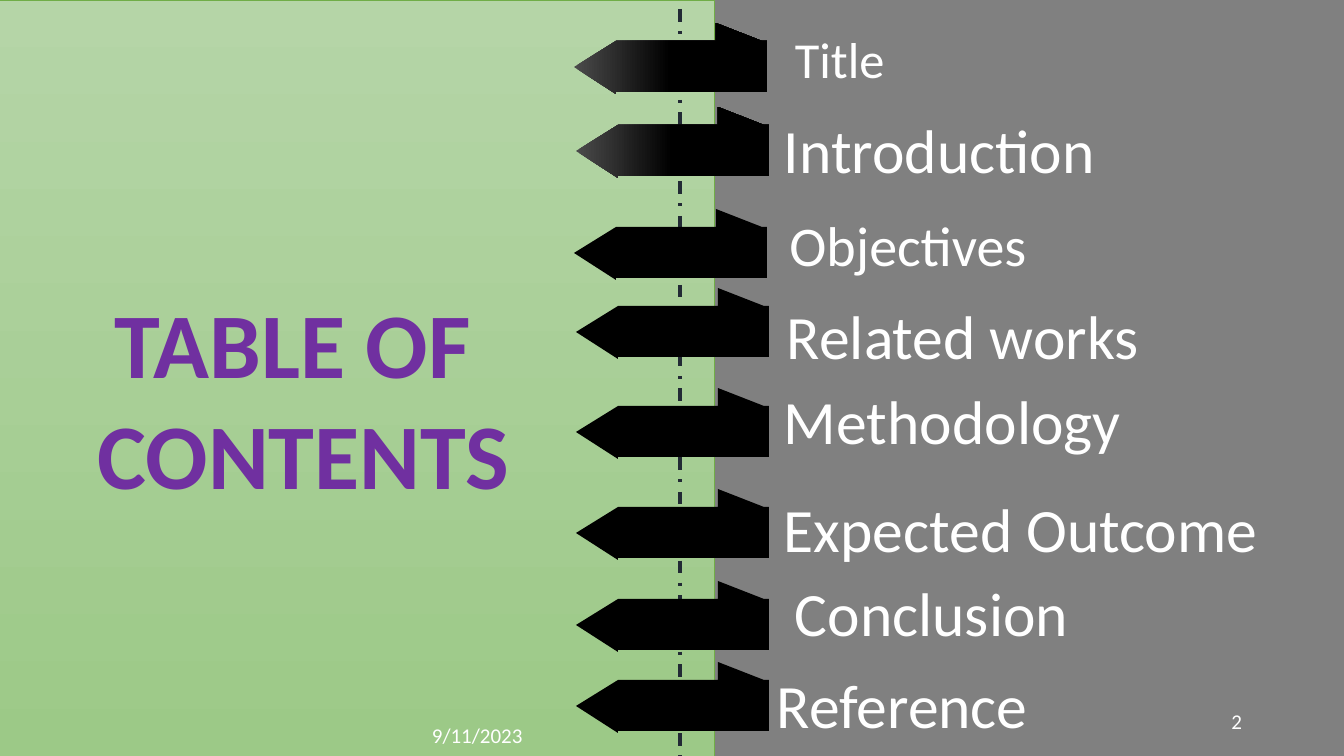
from lxml import etree
from pptx import Presentation
from pptx import util as u
from pptx.dml.color import RGBColor
from pptx.enum import dml, shapes, text
from pptx.oxml.ns import qn

PX = 914400 / 100.8
GRAY = RGBColor(0x80, 0x80, 0x80)
LIGHT = RGBColor(0xB5, 0xD5, 0xA7)
GREEN = RGBColor(0x9C, 0xC9, 0x87)
EDGE = RGBColor(0x70, 0xAD, 0x47)
NAVY = RGBColor(0x22, 0x2A, 0x35)
PURPLE = RGBColor(0x70, 0x30, 0xA0)
WHITE = RGBColor(0xFF, 0xFF, 0xFF)
BLACK = RGBColor(0, 0, 0)
SMOKE = RGBColor(0x4B, 0x4B, 0x4B)

AL = text.PP_ALIGN
MID = text.MSO_ANCHOR.MIDDLE

# Words, size, alignment, box
TOPICS = [
    ("Title", 36, AL.JUSTIFY, (785, 23, 202, 102)),
    ("Introduction", 44, AL.JUSTIFY, (774, 107, 369, 85)),
    ("Objectives", 40, AL.CENTER, (761, 206, 294, 78)),
    ("Related works", 44, AL.LEFT, (777, 293, 400, 85)),
    ("Methodology", 44, AL.LEFT, (774, 378, 403, 85)),
    ("Expected Outcome", 44, AL.LEFT, (774, 486, 499, 159)),
    ("Conclusion", 44, AL.JUSTIFY, (785, 570, 312, 159)),
    ("Reference", 44, AL.LEFT, (767, 662, 370, 115)),
]

# Left and top of each arrow, and the outline they share
ARROWS = [(574, 23), (576, 107), (574, 209), (576, 288),
          (576, 388), (576, 489), (576, 581), (576, 662)]
OUTLINE = [(142, 0), (188, 18), (193, 18), (193, 69), (42, 69),
           (42, 71), (0, 44), (42, 18), (142, 18)]


def emu(*vals):
    return [u.Emu(round(v * PX)) for v in vals]


def blend(fill, first, last, angle, end=1.0):
    fill.gradient()
    fill.gradient_angle = angle
    for stop, color, pos in zip(fill.gradient_stops, (first, last), (0, end)):
        stop.color.rgb = color
        stop.position = pos


def panel(slide, box):
    rect = slide.shapes.add_shape(shapes.MSO_SHAPE.RECTANGLE, *emu(*box))
    rect.shadow.inherit = False
    blend(rect.fill, LIGHT, GREEN, 270)
    rect.line.color.rgb = EDGE
    rect.line.width = u.Pt(0.5)


def seam(slide, x, top, end):
    line = slide.shapes.add_connector(
        shapes.MSO_CONNECTOR.STRAIGHT, *emu(x, top, x, end))
    line.line.color.rgb = NAVY
    line.line.width = u.Pt(2.25)
    line.line.dash_style = dml.MSO_LINE.DASH_DOT
    etree.SubElement(line._element.spPr, qn("a:effectLst"))


def label(slide, words, size, align, box, color=WHITE, bold=False,
          wrap=True, anchor=text.MSO_ANCHOR.TOP):
    frame = slide.shapes.add_textbox(*emu(*box)).text_frame
    frame.word_wrap = wrap
    frame.vertical_anchor = anchor
    frame.text = words
    for para in frame.paragraphs:
        para.alignment = align
        font = para.font
        font.name, font.size, font.bold = "Calibri", u.Pt(size), bold
        font.color.rgb = color


def arrow(slide, left, top, faded):
    points = [(left + x, top + y) for x, y in OUTLINE]
    pen = slide.shapes.build_freeform(*points[0], scale=PX)
    pen.add_line_segments(points[1:], close=True)
    shape = pen.convert_to_shape()
    shape.shadow.inherit = False
    shape.line.fill.background()
    if faded:
        blend(shape.fill, SMOKE, BLACK, 0, 0.5)
    else:
        shape.fill.solid()
        shape.fill.fore_color.rgb = BLACK


def main():
    deck = Presentation()
    deck.slide_width, deck.slide_height = emu(1344, 756)
    slide = deck.slides.add_slide(deck.slide_layouts[6])
    slide.background.fill.solid()
    slide.background.fill.fore_color.rgb = GRAY

    # Left panel with heading
    panel(slide, (-1, 0, 715, 756))
    label(slide, "TABLE OF \nCONTENTS", 66, AL.CENTER, (82, 281, 443, 234),
          PURPLE, bold=True, wrap=False)
    seam(slide, 680, 9, 756)

    # Topics and their arrows
    for topic in TOPICS:
        label(slide, *topic)
    for i, (left, top) in enumerate(ARROWS):
        arrow(slide, left, top, faded=i < 2)

    # Page number and date
    label(slide, "2", 15, AL.RIGHT, (950, 701, 302, 40), anchor=MID)
    label(slide, "9/11/2023", 15, AL.LEFT, (422, 715, 302, 40), anchor=MID)
    deck.save("out.pptx")


main()
